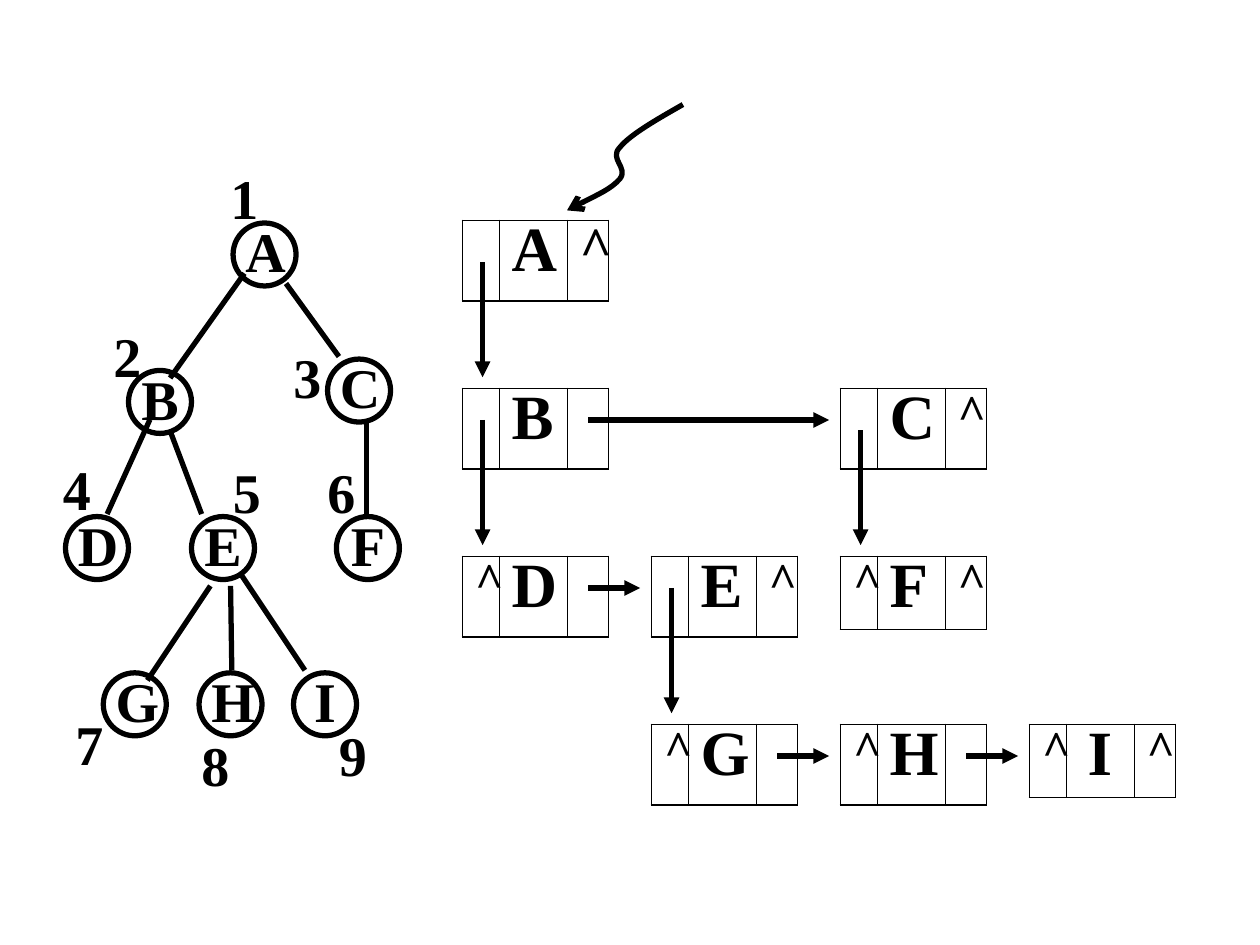
from typing import NamedTuple

from lxml.etree import SubElement
from pptx import Presentation
from pptx.dml.color import RGBColor
from pptx.enum.shapes import MSO_CONNECTOR as Connector, MSO_SHAPE as Shape
from pptx.enum.text import MSO_AUTO_SIZE as AutoSize, PP_ALIGN as Align
from pptx.oxml.ns import qn
from pptx.util import Inches, Pt

BLACK = RGBColor(0, 0, 0)
FONT = "Times New Roman"
LINE_WIDTH = 3
CIRCLE_SIZE = 0.5
TEXT_HEIGHT = 0.64
GRID_LEFT, GRID_TOP = 3.67, 1.75
COLUMN_STEP, ROW_STEP = 1.5, 4 / 3
FIELD_WIDTHS = (0.29, 0.54, 0.33)
OUTER_BORDER, INNER_BORDER = 1.08, 0.45
ARROW_GAP = 0.09


class TreeNode(NamedTuple):
    letter: str
    left: float
    top: float


class NumberLabel(NamedTuple):
    text: str
    left: float
    top: float


class Edge(NamedTuple):
    start: tuple[float, float]
    end: tuple[float, float]


class ListNode(NamedTuple):
    letter: str
    column: int
    row: int
    child: str = ""
    sibling: str = ""
    caret_size: int = 28
    align: Align = Align.LEFT


class ChildArrow(NamedTuple):
    column: int
    row: int
    offset: float


class SiblingArrow(NamedTuple):
    column: int
    row: int
    span: int = 1


TREE_NODES = [
    TreeNode("A", 1.85, 1.77), TreeNode("B", 1.02, 2.94), TreeNode("C", 2.6, 2.85),
    TreeNode("D", 0.52, 4.1), TreeNode("E", 1.52, 4.1), TreeNode("F", 2.67, 4.1),
    TreeNode("G", 0.82, 5.34), TreeNode("H", 1.58, 5.34), TreeNode("I", 2.33, 5.34),
]
EDGES = [
    Edge((1.94, 2.17), (1.35, 3)), Edge((2.27, 2.25), (2.69, 2.83)),
    Edge((1.19, 3.33), (0.85, 4.08)), Edge((1.35, 3.42), (1.6, 4.08)),
    Edge((2.91, 3.33), (2.91, 4.08)), Edge((1.67, 4.65), (1.17, 5.4)),
    Edge((1.83, 4.65), (1.84, 5.32)), Edge((1.92, 4.57), (2.42, 5.32)),
]
NUMBERS = [
    NumberLabel("1", 1.73, 1.25), NumberLabel("2", 0.8, 2.5), NumberLabel("3", 2.23, 2.67),
    NumberLabel("4", 0.4, 3.56), NumberLabel("5", 1.75, 3.58), NumberLabel("6", 2.5, 3.58),
    NumberLabel("7", 0.5, 5.58), NumberLabel("8", 1.5, 5.75), NumberLabel("9", 2.59, 5.67),
]
LIST_NODES = [
    ListNode("A", 0, 0, sibling="^", caret_size=32),
    ListNode("B", 0, 1),
    ListNode("C", 2, 1, sibling="^"),
    ListNode("D", 0, 2, child="^"),
    ListNode("E", 1, 2, sibling="^"),
    ListNode("F", 2, 2, child="^", sibling="^"),
    ListNode("G", 1, 3, child="^"),
    ListNode("H", 2, 3, child="^"),
    ListNode("I", 3, 3, child="^", sibling="^", align=Align.CENTER),
]
CHILD_ARROWS = [
    ChildArrow(0, 0, 0.33), ChildArrow(0, 1, 0.25),
    ChildArrow(1, 2, 0.25), ChildArrow(2, 1, 0.33),
]
SIBLING_ARROWS = [
    SiblingArrow(0, 1, span=2), SiblingArrow(0, 2), SiblingArrow(1, 3), SiblingArrow(2, 3),
]
ROOT_CURVE = [
    (542, 83), (521, 95), (500, 107), (492, 117), (483, 126),
    (499, 133), (492, 142), (485, 150), (467, 158), (450, 167),
]


def grid_position(column: int, row: int) -> tuple[float, float]:
    return GRID_LEFT + column * COLUMN_STEP, GRID_TOP + row * ROW_STEP


def write_text(frame, text: str, *, size: int, align: Align, spacing: float = 1.0) -> None:
    paragraph = frame.paragraphs[0]
    paragraph.alignment = align
    paragraph.line_spacing = spacing
    run = paragraph.add_run()
    run.text = text
    run.font.name = FONT
    run.font.size = Pt(size)
    run.font.bold = True
    run.font.color.rgb = BLACK


def add_label(slide, text: str, left: float, top: float, width: float, wrap: bool) -> None:
    box = slide.shapes.add_textbox(*map(Inches, (left, top, width, TEXT_HEIGHT)))
    box.text_frame.word_wrap = wrap
    box.text_frame.auto_size = AutoSize.SHAPE_TO_FIT_TEXT
    write_text(box.text_frame, text, size=32, align=Align.CENTER)


def style_line(shape, arrowhead: str = "") -> None:
    shape.line.color.rgb = BLACK
    shape.line.width = Pt(LINE_WIDTH)
    if arrowhead:
        SubElement(shape.get_or_add_ln(), qn("a:tailEnd"), type=arrowhead)


def add_tree_node(slide, node: TreeNode) -> None:
    add_label(slide, node.letter, node.left, node.top - 0.1, CIRCLE_SIZE, True)
    position = (node.left, node.top, CIRCLE_SIZE, CIRCLE_SIZE)
    circle = slide.shapes.add_shape(Shape.OVAL, *map(Inches, position))
    circle.shadow.inherit = False
    circle.fill.background()
    style_line(circle)


def add_line(slide, edge: Edge, arrowhead: str = "") -> None:
    points = map(Inches, (*edge.start, *edge.end))
    connector = slide.shapes.add_connector(Connector.STRAIGHT, *points)
    style_line(connector, arrowhead)
    SubElement(connector._element.spPr, qn("a:effectLst"))


def set_borders(cell, left: float, right: float) -> None:
    properties = cell._tc.get_or_add_tcPr()
    widths = {"a:lnL": left, "a:lnR": right, "a:lnT": OUTER_BORDER, "a:lnB": OUTER_BORDER}
    for tag, width in widths.items():
        border = SubElement(properties, qn(tag), w=str(Pt(width)))
        fill = SubElement(border, qn("a:solidFill"))
        SubElement(fill, qn("a:srgbClr"), val=str(BLACK))


def add_list_node(slide, node: ListNode) -> None:
    left, top = grid_position(node.column, node.row)
    height = 0.58 if node.child and node.sibling else 0.64
    position = map(Inches, (left, top, sum(FIELD_WIDTHS), height))
    table = slide.shapes.add_table(1, len(FIELD_WIDTHS), *position).table
    table.first_row = table.horz_banding = False
    last = len(FIELD_WIDTHS) - 1
    for index, text in enumerate((node.child, node.letter, node.sibling)):
        table.columns[index].width = Inches(FIELD_WIDTHS[index])
        cell = table.cell(0, index)
        set_borders(cell, OUTER_BORDER if index == 0 else INNER_BORDER,
                    OUTER_BORDER if index == last else INNER_BORDER)
        cell.fill.background()
        if text:
            is_letter = index == 1
            write_text(cell.text_frame, text, size=36 if is_letter else node.caret_size,
                       align=node.align if is_letter else Align.LEFT, spacing=0.8)


def add_root_pointer(slide) -> None:
    builder = slide.shapes.build_freeform(*ROOT_CURVE[0], scale=Inches(0.01))
    builder.add_line_segments([ROOT_CURVE[-1]], close=False)
    curve = builder.convert_to_shape()
    outline = next(curve._element.iter(qn("a:path")))
    outline.remove(outline.find(qn("a:lnTo")))
    left = min(x for x, _ in ROOT_CURVE)
    top = min(y for _, y in ROOT_CURVE)
    for first in range(1, len(ROOT_CURVE), 3):
        segment = SubElement(outline, qn("a:cubicBezTo"))
        for x, y in ROOT_CURVE[first:first + 3]:
            SubElement(segment, qn("a:pt"), x=str(x - left), y=str(y - top))
    curve.shadow.inherit = False
    curve.fill.background()
    style_line(curve, "arrow")


def main() -> None:
    presentation = Presentation()
    presentation.slide_width, presentation.slide_height = Inches(10), Inches(7.5)
    slide = presentation.slides.add_slide(presentation.slide_layouts[6])
    for node in TREE_NODES:
        add_tree_node(slide, node)
    for edge in EDGES:
        add_line(slide, edge)
    for number in NUMBERS:
        add_label(slide, number.text, number.left, number.top, 0.42, False)
    for node in LIST_NODES:
        add_list_node(slide, node)
    for column, row, offset in CHILD_ARROWS:
        left, top = grid_position(column, row)
        x = left + 0.16
        add_line(slide, Edge((x, top + offset), (x, top + ROW_STEP - ARROW_GAP)), "triangle")
    for column, row, span in SIBLING_ARROWS:
        left, top = grid_position(column, row)
        y = top + 0.25
        end = left + span * COLUMN_STEP - ARROW_GAP
        add_line(slide, Edge((left + 1, y), (end, y)), "triangle")
    add_root_pointer(slide)
    presentation.save("out.pptx")


if __name__ == "__main__":
    main()
